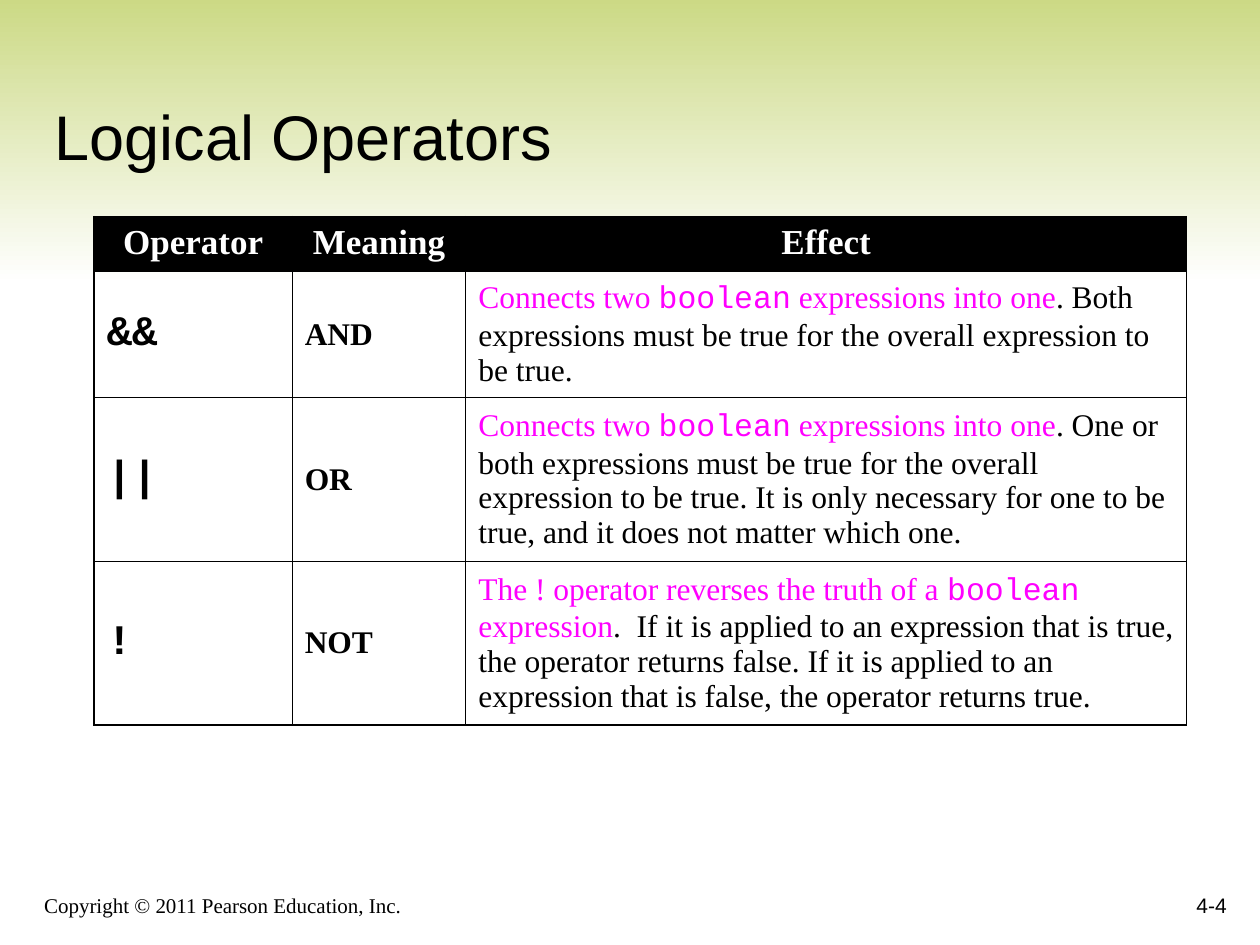
from lxml import etree
from pptx import Presentation
from pptx import util as u
from pptx.dml.color import RGBColor
from pptx.enum import text
from pptx.oxml.ns import qn

BLACK = RGBColor(0x00, 0x00, 0x00)
WHITE = RGBColor(0xFF, 0xFF, 0xFF)
MAGENTA = RGBColor(0xFF, 0x00, 0xFF)
GREEN = RGBColor(0xCA, 0xD8, 0x81)
SERIF, SANS, MONO = "Times New Roman", "Arial", "Courier New"
LEFT, CENTER, RIGHT = (text.PP_ALIGN.LEFT, text.PP_ALIGN.CENTER,
                       text.PP_ALIGN.RIGHT)
BOTTOM, MIDDLE, TOP = (text.MSO_ANCHOR.BOTTOM, text.MSO_ANCHOR.MIDDLE,
                       text.MSO_ANCHOR.TOP)


def add_span(para, words, color, **formats):
    span = para.add_run()
    span.text = words
    for name, value in formats.items():
        setattr(span.font, name, value)
    span.font.color.rgb = color


def set_border(cell, position, side, width):
    properties = cell._tc.get_or_add_tcPr()
    line = etree.Element(qn(f"a:ln{side}"), w=str(int(u.Pt(width))))
    fill = etree.SubElement(line, qn("a:solidFill"))
    etree.SubElement(fill, qn("a:srgbClr"), val=str(BLACK))
    properties.insert(position, line)


deck = Presentation()
deck.slide_width, deck.slide_height = u.Cm(25.4), u.Cm(19.05)
page = deck.slides.add_slide(deck.slide_layouts[6])

# Green band fading to white
top, bottom, right = u.Cm(-0.2), u.Cm(5.72), u.Cm(25.4)
outline = page.shapes.build_freeform(right, top)
outline.add_line_segments([(0, top), (0, bottom), (right, bottom)], close=True)
band = outline.convert_to_shape()
band.shadow.inherit = False
band.line.fill.background()
band.fill.gradient()
band.fill.gradient_angle = 270
for stop, color, position in zip(band.fill.gradient_stops, (GREEN, WHITE), (0, 1)):
    stop.color.rgb = color
    stop.position = position

# Title and footer
for words, place, align, font, size in (
    ("Copyright © 2011 Pearson Education, Inc.",
     (0.64, 17.57, 15.45, 1.06), LEFT, SERIF, 12),
    ("4-4", (19.69, 17.36, 5.29, 1.27), RIGHT, SANS, 12),
    ("Logical Operators", (0.85, 0.85, 23.92, 2.76), LEFT, SANS, 36),
):
    box = page.shapes.add_textbox(*map(u.Cm, place))
    box.text_frame.word_wrap = True
    box.text_frame.vertical_anchor = BOTTOM
    para = box.text_frame.paragraphs[0]
    para.alignment = align
    add_span(para, words, BLACK, name=font, size=u.Pt(size))

# Operator table: each effect is a highlighted part, then a plain part
headings = ("Operator", "Meaning", "Effect")
operators = (
    ("&&", "AND", "Connects two ", " expressions into one",
     ". Both expressions must be true for the overall expression to be true."),
    ("||", "OR", "Connects two ", " expressions into one",
     ". One or both expressions must be true for the overall expression to be "
     "true. It is only necessary for one to be true, and it does not matter "
     "which one."),
    ("!", "NOT", "The ! operator reverses the truth of a ", " expression",
     ".  If it is applied to an expression that is true, the operator returns "
     "false. If it is applied to an expression that is false, the operator "
     "returns true."),
)
widths, heights = (3.99, 3.5, 14.53), (1.09, 2.54, 3.3, 3.3)
table = page.shapes.add_table(
    len(heights), len(widths), u.Cm(1.9), u.Cm(4.37),
    u.Cm(sum(widths)), u.Cm(sum(heights))).table
table.first_row = table.horz_banding = False
for column, width in zip(table.columns, widths):
    column.width = u.Cm(width)
for row, height in zip(table.rows, heights):
    row.height = u.Cm(height)

# Header row
for cell, heading in zip(table.rows[0].cells, headings):
    para = cell.text_frame.paragraphs[0]
    para.alignment = CENTER
    add_span(para, heading, WHITE, name=SERIF, size=u.Pt(20), bold=True)

# Operator rows
for number, (symbol, meaning, start, end, detail) in enumerate(operators, 1):
    paras = [cell.text_frame.paragraphs[0] for cell in table.rows[number].cells]
    add_span(paras[0], symbol, BLACK, name=MONO, size=u.Pt(24), bold=True)
    add_span(paras[1], meaning, BLACK, name=SERIF, size=u.Pt(18), bold=True)
    for words, color, font in ((start, MAGENTA, SERIF), ("boolean", MAGENTA, MONO),
                               (end, MAGENTA, SERIF), (detail, BLACK, SERIF)):
        add_span(paras[2], words, color, name=font, size=u.Pt(18), bold=False)

# Cell fills and borders, heavier around the outside
last_row, last_column = len(heights) - 1, len(widths) - 1
for r, row in enumerate(table.rows):
    for c, cell in enumerate(row.cells):
        cell.vertical_anchor = MIDDLE if r else TOP
        if r:
            cell.fill.background()
        else:
            cell.fill.solid()
            cell.fill.fore_color.rgb = BLACK
        outer_sides = {"L": c == 0, "R": c == last_column,
                       "T": r == 0, "B": r == last_row}
        for position, (side, outer) in enumerate(outer_sides.items()):
            set_border(cell, position, side, 1.08 if outer else 0.45)

deck.save("out.pptx")
